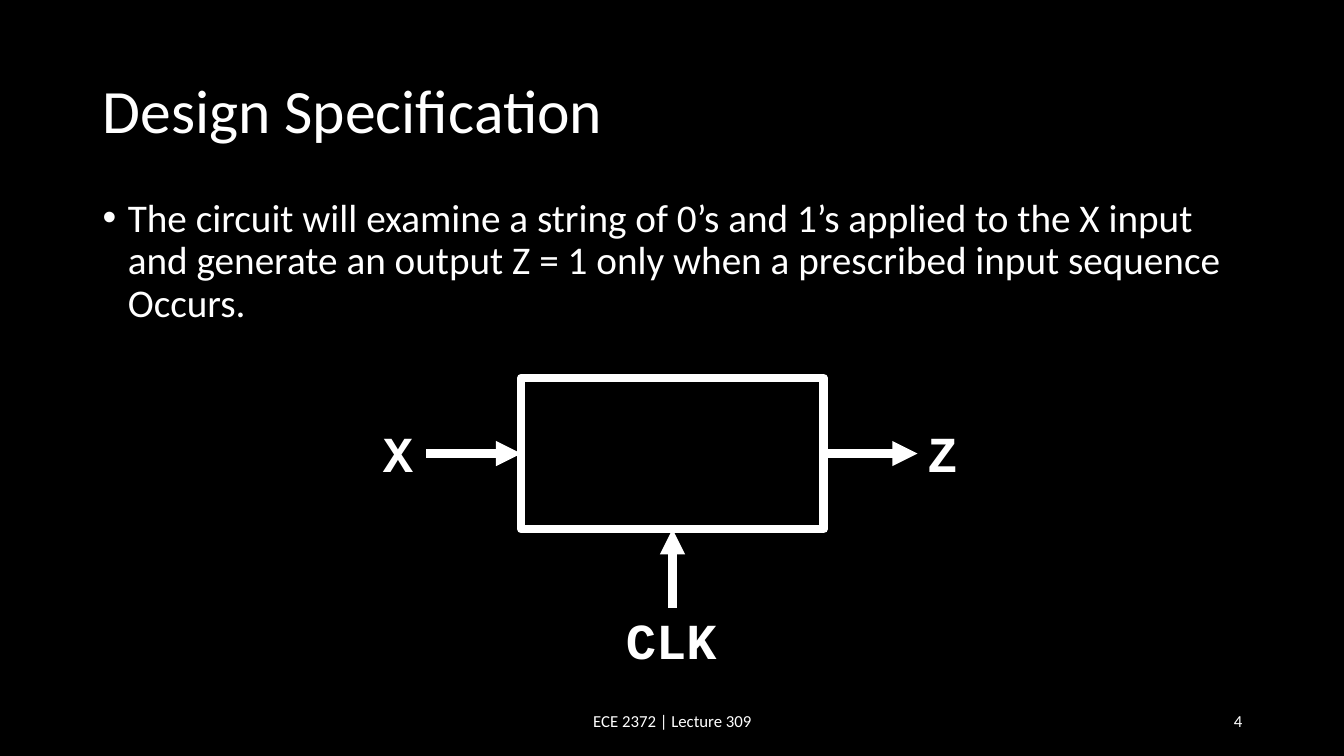
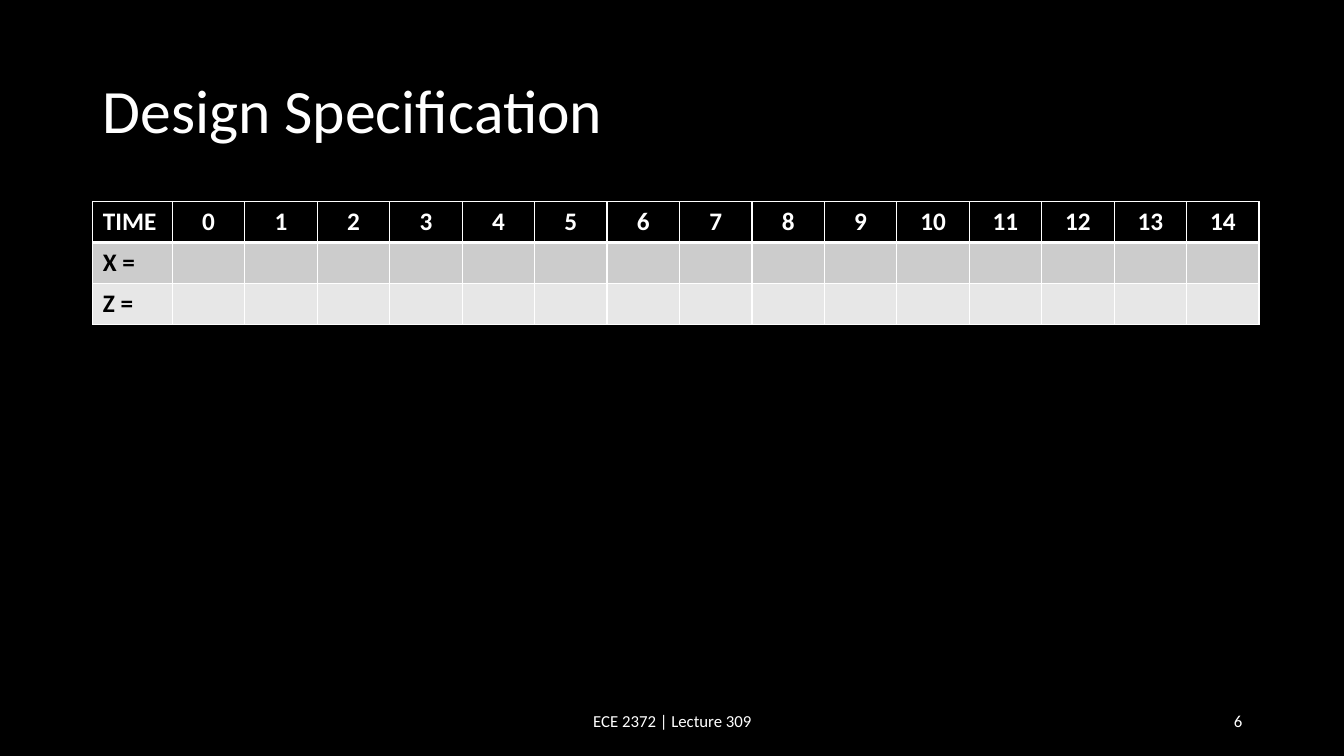
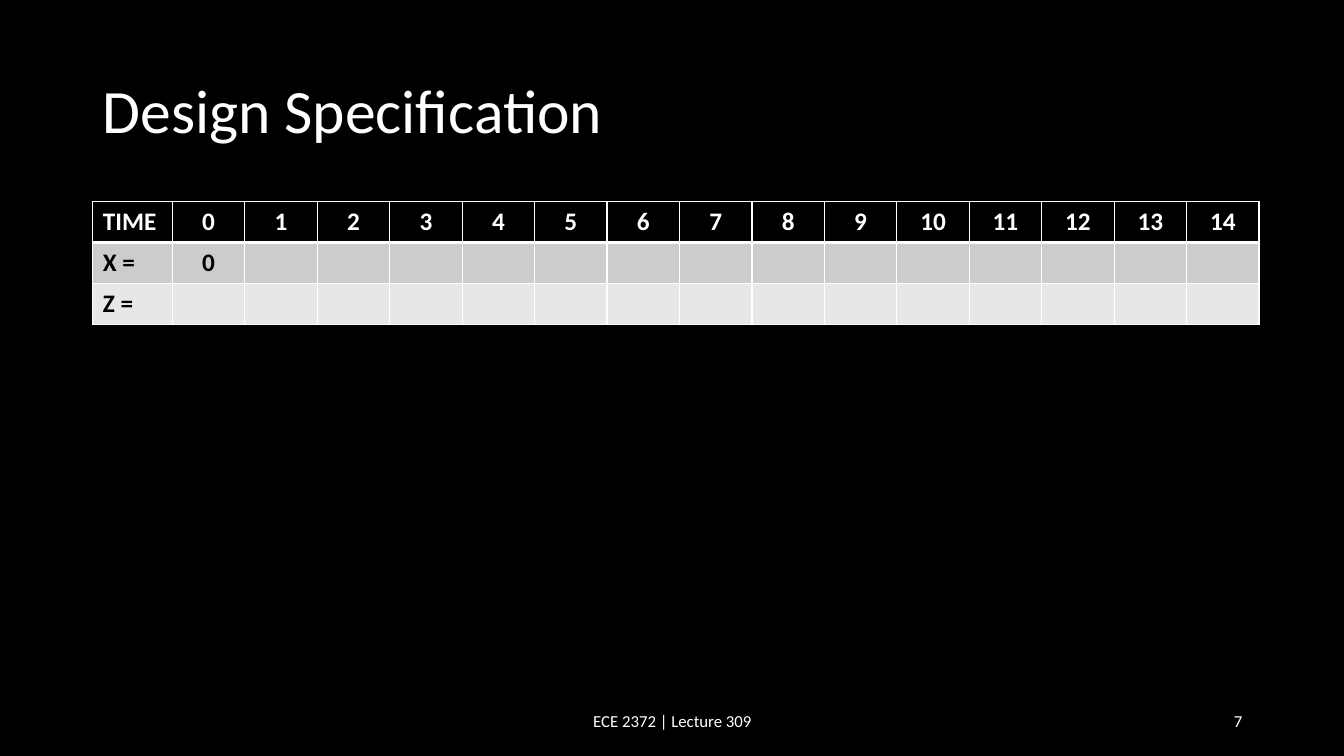
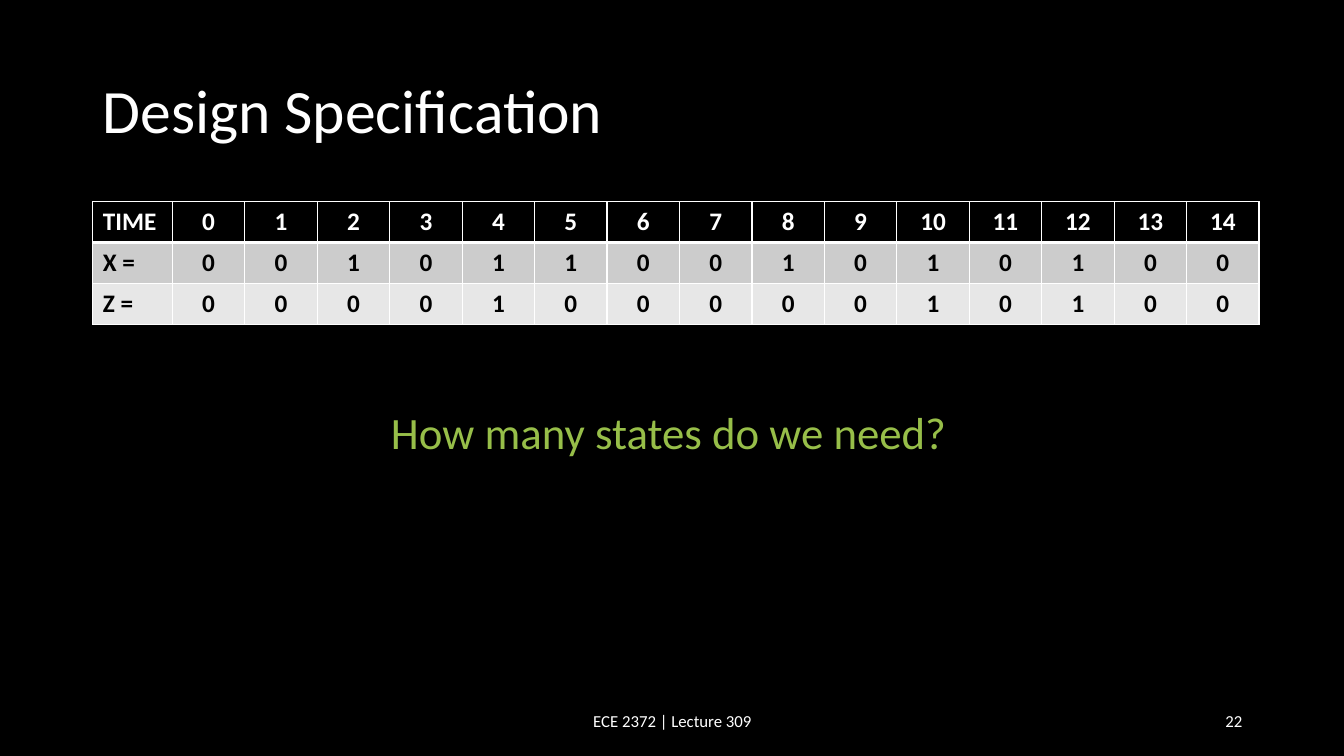
from pptx import Presentation
from pptx.dml.color import RGBColor as RGB
from pptx.enum.shapes import MSO_CONNECTOR as LINK, MSO_SHAPE as SHAPE
from pptx.enum.text import MSO_ANCHOR as ANCHOR, MSO_AUTO_SIZE as FIT, PP_ALIGN as ALIGN
from pptx.oxml.ns import qn
from pptx.util import Inches, Pt
from lxml.etree import SubElement as sub

HUES = {"black": "000000", "white": "FFFFFF", "dark": "CCCCCC", "light": "E7E7E7", "green": "97BE49"}
HUES = {name: RGB.from_string(code) for name, code in HUES.items()}


def write(frame, text, size=18, hue="white", face="Calibri", bold=False, align=ALIGN.LEFT, lead=None, bullet=False):
    para = frame.paragraphs[0]
    para.alignment = align
    if lead:
        para.line_spacing = lead
    if bullet:
        props = para._p.get_or_add_pPr()
        props.set("marL", str(Inches(0.25)))
        props.set("indent", str(Inches(-0.25)))
        sub(props, qn("a:buFont"), typeface="Arial")
        sub(props, qn("a:buChar"), char="•")
    run = para.add_run()
    run.text = text
    font = run.font
    font.size, font.name, font.bold = Pt(size), face, bold
    font.color.rgb = HUES[hue]


def label(page, text, left, top, width, height, wrap=True, anchor=ANCHOR.TOP, **look):
    box = page.shapes.add_textbox(Inches(left), Inches(top), Inches(width), Inches(height))
    frame = box.text_frame
    frame.word_wrap = wrap
    frame.auto_size = FIT.NONE if wrap else FIT.SHAPE_TO_FIT_TEXT
    frame.vertical_anchor = anchor
    write(frame, text, **look)


deck = Presentation()
deck.slide_width, deck.slide_height = Inches(13.33), Inches(7.5)
back = deck.slide_master.background.fill
back.solid()
back.fore_color.rgb = HUES["black"]

pages = []
for number in (4, 6, 7, 22):
    page = deck.slides.add_slide(deck.slide_layouts[6])
    label(page, "Design Specification", 0.92, 0.4, 11.5, 1.45, anchor=ANCHOR.MIDDLE, size=44, lead=0.9)
    label(page, "ECE 2372 | Lecture 309", 4.42, 6.95, 4.5, 0.4, anchor=ANCHOR.MIDDLE, size=12, align=ALIGN.CENTER)
    label(page, str(number), 9.42, 6.95, 3, 0.4, anchor=ANCHOR.MIDDLE, size=12, align=ALIGN.RIGHT)
    pages.append(page)

first, *grids = pages
label(
    first,
    "The circuit will examine a string of 0’s and 1’s applied to the X input "
    "and generate an output Z = 1 only when a prescribed input sequence Occurs.",
    0.92, 1.92, 11.5, 4.76, size=28, lead=0.9, bullet=True,
)
block = first.shapes.add_shape(SHAPE.RECTANGLE, Inches(5.17), Inches(3.75), Inches(3), Inches(1.5))
block.shadow.inherit = False
block.fill.background()
block.line.color.rgb = HUES["white"]
block.line.width = Pt(6)

for start, end, side, inward in (
    ((4.23, 4.5), (5.17, 4.5), 1, True),
    ((8.17, 4.5), (9.1, 4.5), 3, False),
    ((6.67, 6.03), (6.67, 5.25), 2, True),
):
    arrow = first.shapes.add_connector(LINK.STRAIGHT, *map(Inches, start + end))
    if inward:
        arrow.end_connect(block, side)
    else:
        arrow.begin_connect(block, side)
    arrow.line.color.rgb = HUES["white"]
    arrow.line.width = Pt(6)
    sub(arrow.line._get_or_add_ln(), qn("a:tailEnd"), type="triangle")
    sub(arrow._element.spPr, qn("a:effectLst"))

for text, left, top, width in (("X", 3.7, 4.14, 0.51), ("Z", 9.1, 4.14, 0.51), ("CLK", 6.11, 5.99, 1.11)):
    label(first, text, left, top, width, 0.71, wrap=False, size=36, face="Courier New", bold=True)

COUNT = 15
HEAD, WIDE, HIGH = 0.79, 11.57, 1.22
for page, (xs, zs) in zip(grids, (("", ""), ("0", ""), ("001011001010100", "000010000010100"))):
    rows = (
        ("TIME", [str(step) for step in range(COUNT)], "black", "white"),
        ("X =", xs, "dark", "black"),
        ("Z =", zs, "light", "black"),
    )
    table = page.shapes.add_table(
        len(rows), COUNT + 1, Inches(0.92), Inches(2), Inches(WIDE), Inches(HIGH)
    ).table
    table.horz_banding = False
    for col, column in enumerate(table.columns):
        column.width = Inches((WIDE - HEAD) / COUNT if col else HEAD)
    for row, (name, bits, fill, hue) in enumerate(rows):
        texts = [name, *bits]
        for col in range(COUNT + 1):
            cell = table.cell(row, col)
            props = cell._tc.get_or_add_tcPr()
            for edge in ("L", "R", "T", "B"):
                thick = (row, edge) in ((0, "B"), (1, "T"))
                line = sub(props, qn(f"a:ln{edge}"), w=str(Pt(3 if thick else 1)))
                sub(sub(line, qn("a:solidFill")), qn("a:srgbClr"), val=str(HUES["white"]))
            cell.fill.solid()
            cell.fill.fore_color.rgb = HUES[fill]
            if col < len(texts):
                write(cell.text_frame, texts[col], hue=hue, bold=True, align=ALIGN.CENTER if col else ALIGN.LEFT)

label(grids[-1], "How many states do we need?", 3.78, 3.97, 5.76, 0.64, wrap=False, size=32, hue="green")

deck.save("out.pptx")
